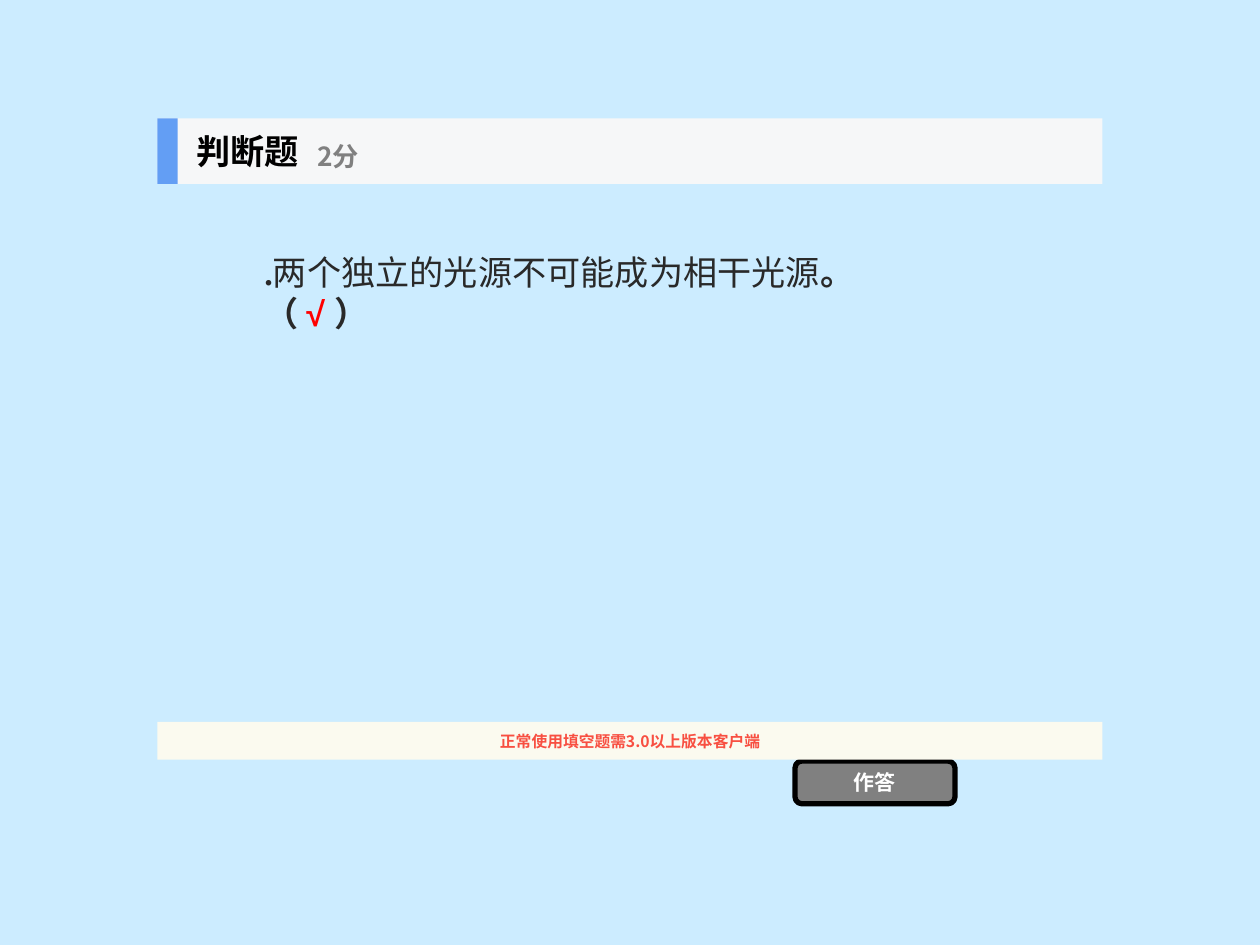
from pptx import Presentation
from pptx.dml.color import RGBColor as Rgb
from pptx.enum.shapes import MSO_SHAPE as Kind
from pptx.enum.text import MSO_ANCHOR as Anchor, PP_ALIGN as Align
from pptx.oxml.ns import qn
from pptx.util import Inches, Pt
from lxml.etree import SubElement

SKY = Rgb(0xCC, 0xEC, 0xFF)
INK = Rgb(0x29, 0x29, 0x29)
RED = Rgb(0xFF, 0x00, 0x00)
BLACK = Rgb(0x00, 0x00, 0x00)
WHITE = Rgb(0xFF, 0xFF, 0xFF)
GRAY = Rgb(0x80, 0x80, 0x80)
CREAM = Rgb(0xFB, 0xFA, 0xEF)
CORAL = Rgb(0xF8, 0x4F, 0x41)
MIST = Rgb(0xF6, 0xF7, 0xF8)
BLUE = Rgb(0x63, 0x9E, 0xF4)
SANS, SERIF, LATIN = "Noto Sans CJK SC", "Times New Roman", "Arial"


class Quiz:
    """Draws quiz elements on one slide, placed in percent of its size."""

    def __init__(self, deck):
        self.wide, self.high = deck.slide_width, deck.slide_height
        self.slide = deck.slides.add_slide(deck.slide_layouts[6])
        fill = self.slide.background.fill
        fill.solid()
        fill.fore_color.rgb = SKY
        self.home = self.slide.shapes

    def area(self, x, y, w, h):
        return [int(part * side / 100) for part, side in
                zip((x, y, w, h), (self.wide, self.high) * 2)]

    def group(self):
        return self.slide.shapes.add_group_shape().shapes

    def block(self, spot, color, kind=Kind.RECTANGLE, edge=None):
        shape = self.home.add_shape(kind, *self.area(*spot))
        shape.shadow.inherit = False
        shape.fill.solid()
        shape.fill.fore_color.rgb = color
        if edge is None:
            shape.line.fill.background()
        else:
            shape.line.color.rgb = edge
            shape.line.width = Pt(3)
        return shape

    def label(self, spot, runs, size):
        box = self.home.add_textbox(*self.area(*spot))
        self.letter(box, runs, size, Align.LEFT)
        return box

    def letter(self, shape, runs, size, align=Align.CENTER):
        frame = shape.text_frame
        frame.word_wrap = True
        frame.vertical_anchor = Anchor.MIDDLE
        para = frame.paragraphs[0]
        para.alignment = align
        for text, face, color, bold in runs:
            run = para.add_run()
            run.text = text
            font = run.font
            font.name, font.size, font.bold = face, Pt(size), bold
            font.color.rgb = color
            east = SubElement(run._r.get_or_add_rPr(), qn("a:ea"))
            east.set("typeface", LATIN if face == LATIN else SANS)


def main():
    deck = Presentation()
    deck.slide_width, deck.slide_height = Inches(10), Inches(7.5)
    quiz = Quiz(deck)

    body = quiz.label((20, 19.2, 60, 23.47), [
        (".", SERIF, INK, True),
        ("两个独立的光源不可能成为相干光源", SERIF, INK, False),
        ("。（ ", SERIF, INK, True),
        ("√ ", LATIN, RED, True),
        ("）", SERIF, INK, True)], 19.5)
    body.text_frame.margin_right = Inches(1.1)

    button = quiz.block((63.1, 80.53, 12.7, 4.53), GRAY,
                        Kind.ROUNDED_RECTANGLE, BLACK)
    quiz.letter(button, [("作答", SANS, WHITE, True)], 12)
    strip = quiz.block((12.5, 76.4, 75, 4), CREAM)
    quiz.letter(strip, [("正常使用填空题需3.0以上版本客户端", SANS, CORAL, True)], 9)

    quiz.home = quiz.group()
    quiz.block((12.5, 12.53, 75, 6.93), MIST)
    quiz.block((12.5, 12.53, 1.6, 6.93), BLUE)
    quiz.label((14.6, 12.53, 15.6, 6.93), [("判断题", SANS, BLACK, True)], 19.5)
    quiz.label((24.2, 13.73, 18.8, 5.6), [("2分", SANS, GRAY, True)], 15)
    deck.save("out.pptx")


if __name__ == "__main__":
    main()
